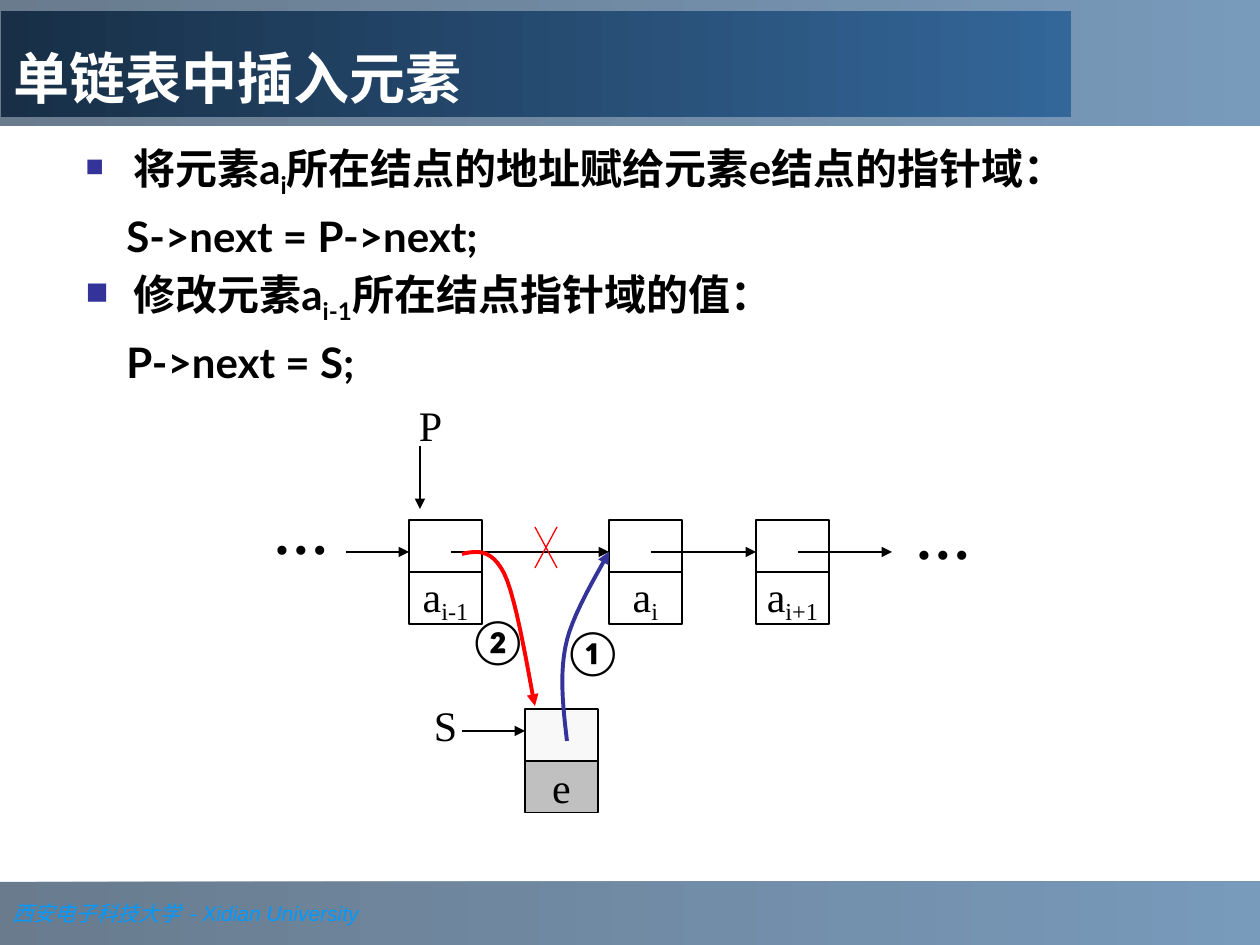
from lxml import etree
from pptx import Presentation
from pptx.dml.color import RGBColor
from pptx.enum.shapes import MSO_CONNECTOR, MSO_SHAPE
from pptx.enum.text import MSO_ANCHOR, PP_ALIGN
from pptx.oxml.ns import qn
from pptx.util import Pt

PX = 7257  # EMU per px, 126 px to the inch
COLORS = {
    "navy": "1C3853", "dark": "182F47", "blue": "336699", "sky": "0099FF",
    "indigo": "333399", "red": "FF0000", "black": "000000", "white": "FFFFFF",
    "pale": "F8F8F8", "gray": "C0C0C0",
}
SERIF, SANS = "Times New Roman", "Lato"
NODE_W, CELL_H = 73, 52


def rgb(name):
    return RGBColor.from_string(COLORS[name])


def emu(*values):
    return [round(v * PX) for v in values]


def put_runs(p, runs, size, font, color="black", bold=False, italic=False):
    """Add (text, baseline percent) runs in one style."""
    for text, base in runs:
        r = p.add_run()
        r.text = text
        r.font.name, r.font.size = font, Pt(size)
        r.font.bold, r.font.italic = bold, italic
        r.font.color.rgb = rgb(color)
        if base:
            r.font._element.set("baseline", str(base * 1000))


def add_rect(s, x, y, w, h, fill=None):
    sp = s.shapes.add_shape(MSO_SHAPE.RECTANGLE, *emu(x, y, w, h))
    sp.shadow.inherit = False
    if fill:
        sp.fill.solid()
        sp.fill.fore_color.rgb = rgb(fill)
        sp.line.color.rgb = rgb("black")
        sp.line.width = Pt(0.75)
    else:
        sp.line.fill.background()
    return sp


def add_band(s, box, start, alpha=None):
    sp = add_rect(s, *box)
    sp.fill.gradient()
    sp.fill.gradient_angle = 0
    for stop, color in zip(sp.fill.gradient_stops, (start, "blue")):
        stop.color.rgb = rgb(color)
    if alpha:
        for clr in sp._element.spPr.iter(qn("a:srgbClr")):
            etree.SubElement(clr, qn("a:alpha")).set("val", str(alpha * 1000))
    return sp


def add_text(s, x, y, w, h, text, size, font, bold=False, align=PP_ALIGN.LEFT, inset=True):
    tf = s.shapes.add_textbox(*emu(x, y, w, h)).text_frame
    tf.word_wrap = True
    if not inset:
        tf.margin_left = tf.margin_top = tf.margin_right = tf.margin_bottom = 0
    p = tf.paragraphs[0]
    p.alignment = align
    put_runs(p, [(text, 0)], size, font, bold=bold)
    return p


def add_arrowhead(line):
    etree.SubElement(line._get_or_add_ln(), qn("a:tailEnd")).set("type", "triangle")


def add_line(s, x1, y1, x2, y2, color="black", arrow=True):
    c = s.shapes.add_connector(MSO_CONNECTOR.STRAIGHT, *emu(x1, y1, x2, y2))
    c.line.color.rgb = rgb(color)
    c.line.width = Pt(0.75)
    if arrow:
        add_arrowhead(c.line)
    etree.SubElement(c._element.spPr, qn("a:effectLst"))


def add_curve(s, x, y, points, color, steps=12):
    """Draw chained cubic curves, three points per piece after the first."""
    line = [points[0]]
    for i in range(0, len(points) - 1, 3):
        piece = points[i:i + 4]
        for k in range(1, steps + 1):
            t = k / steps
            weights = ((1 - t) ** 3, 3 * t * (1 - t) ** 2, 3 * t * t * (1 - t), t ** 3)
            line.append([sum(w * pt[axis] for w, pt in zip(weights, piece)) for axis in (0, 1)])
    line = [emu(x + px, y + py) for px, py in line]
    fb = s.shapes.build_freeform(*line[0], scale=1.0)
    fb.add_line_segments(line[1:], close=False)
    sp = fb.convert_to_shape()
    sp.shadow.inherit = False
    sp.fill.background()
    sp.line.color.rgb = rgb(color)
    sp.line.width = Pt(2.25)
    add_arrowhead(sp.line)


def add_footer(s, box):
    tf = add_band(s, box, "navy", 66).text_frame
    tf.word_wrap = False
    tf.vertical_anchor = MSO_ANCHOR.MIDDLE
    p = tf.paragraphs[0]
    p.alignment = PP_ALIGN.LEFT
    put_runs(p, [("西安电子科技大学 ", 0)], 12, SERIF, "sky", italic=True)
    put_runs(p, [(" - Xidian University", 0)], 12, "Arial", "sky", italic=True)


def add_header(s, box, title):
    x, y, w, h = box
    add_band(s, box, "navy", 66)
    tf = add_band(s, (x + 1, y + 11, w - 190, h - 20), "dark").text_frame
    tf.word_wrap = True
    tf.vertical_anchor = MSO_ANCHOR.BOTTOM
    p = tf.paragraphs[0]
    p.alignment = PP_ALIGN.LEFT
    put_runs(p, [(title, 0)], 32, SANS, "white", bold=True)


def add_step(s, box, runs, code, bullet_size):
    """A bulleted sentence with its statement below."""
    tf = s.shapes.add_textbox(*emu(*box)).text_frame
    tf.word_wrap = True
    p = tf.paragraphs[0]
    pPr = p._p.get_or_add_pPr()
    pPr.set("marL", str(48 * PX))
    pPr.set("indent", str(-48 * PX))
    clr = etree.SubElement(pPr, qn("a:buClr"))
    etree.SubElement(clr, qn("a:srgbClr")).set("val", COLORS["indigo"])
    etree.SubElement(pPr, qn("a:buSzPct")).set("val", str(bullet_size * 1000))
    etree.SubElement(pPr, qn("a:buChar")).set("char", "■")
    put_runs(p, runs, 24, SANS, bold=True)

    p = tf.add_paragraph()
    p._p.get_or_add_pPr().set("marL", str(41 * PX))
    p.space_before = Pt(6)
    put_runs(p, [(code, 0)], 24, SANS, bold=True)


def add_node(s, x, y, runs, pointer_fill="white", data_fill="white"):
    data = add_rect(s, x, y + CELL_H, NODE_W, CELL_H, data_fill)
    data.text_frame.word_wrap = False
    data.text_frame.vertical_anchor = MSO_ANCHOR.MIDDLE
    p = data.text_frame.paragraphs[0]
    p.alignment = PP_ALIGN.CENTER
    put_runs(p, runs, 24, SERIF)
    add_rect(s, x, y, NODE_W, CELL_H, pointer_fill)


def add_list_diagram(s, x, y):
    # Chain of nodes with the new node below
    for dx, sub in ((136, "i-1"), (336, "i"), (483, "i+1")):
        add_node(s, x + dx, y + 121, [("a", 0), (sub, -20)])
    add_node(s, x + 252, y + 310, [("e", 0)], "pale", "gray")

    # Links along the chain, then the P and S pointers
    for x1, x2 in ((73, 136), (178, 336), (378, 483), (525, 619)):
        add_line(s, x + x1, y + 153, x + x2, y + 153)
    add_line(s, x + 147, y + 47, x + 147, y + 110)
    add_line(s, x + 189, y + 332, x + 252, y + 332)
    for dx, dy, w, name in ((105, 0, 105, "P"), (136, 300, 73, "S")):
        p = add_text(s, x + dx, y + dy, w, 58, name, 24, SERIF, align=PP_ALIGN.CENTER)
        p.line_spacing = 0.9
    for dx, dy in ((0, 100), (642, 104)):
        add_text(s, x + dx, y + dy, 74, 67, "…", 32, SERIF, bold=True, inset=False)

    # New links
    add_curve(s, x, y, [(294, 342), (290, 307), (286, 273), (294, 241),
                        (302, 210), (329, 167), (336, 153)], "indigo")
    add_curve(s, x, y, [(189, 155), (203, 152), (218, 149), (231, 174),
                        (244, 200), (257, 284), (262, 307)], "red")

    # Cross on the removed link
    for x1, x2 in ((284, 262), (262, 284)):
        add_line(s, x + x1, y + 128, x + x2, y + 169, "red", arrow=False)

    # Step numbers
    for dx, dy, w, number in ((189, 210, 73, "②"), (284, 221, 63, "①")):
        add_text(s, x + dx, y + dy, w, 63, number, 24, SANS, bold=True)


def main():
    prs = Presentation()
    prs.slide_width, prs.slide_height = emu(1260, 945)
    s = prs.slides.add_slide(prs.slide_layouts[6])
    add_footer(s, (0, 882, 1260, 63))
    add_header(s, (0, 0, 1260, 126), "单链表中插入元素")
    add_step(s, (73, 136, 1111, 136),
             [("将元素a", 0), ("i", -25), ("所在结点的地址赋给元素e结点的指针域：", 0)],
             "S->next = P->next;", 60)
    add_step(s, (73, 262, 1111, 136),
             [("修改元素a", 0), ("i-1", -25), ("所在结点指针域的值：", 0)],
             "P->next = S;", 75)
    add_list_diagram(s, 273, 399)
    prs.save("out.pptx")


if __name__ == "__main__":
    main()
